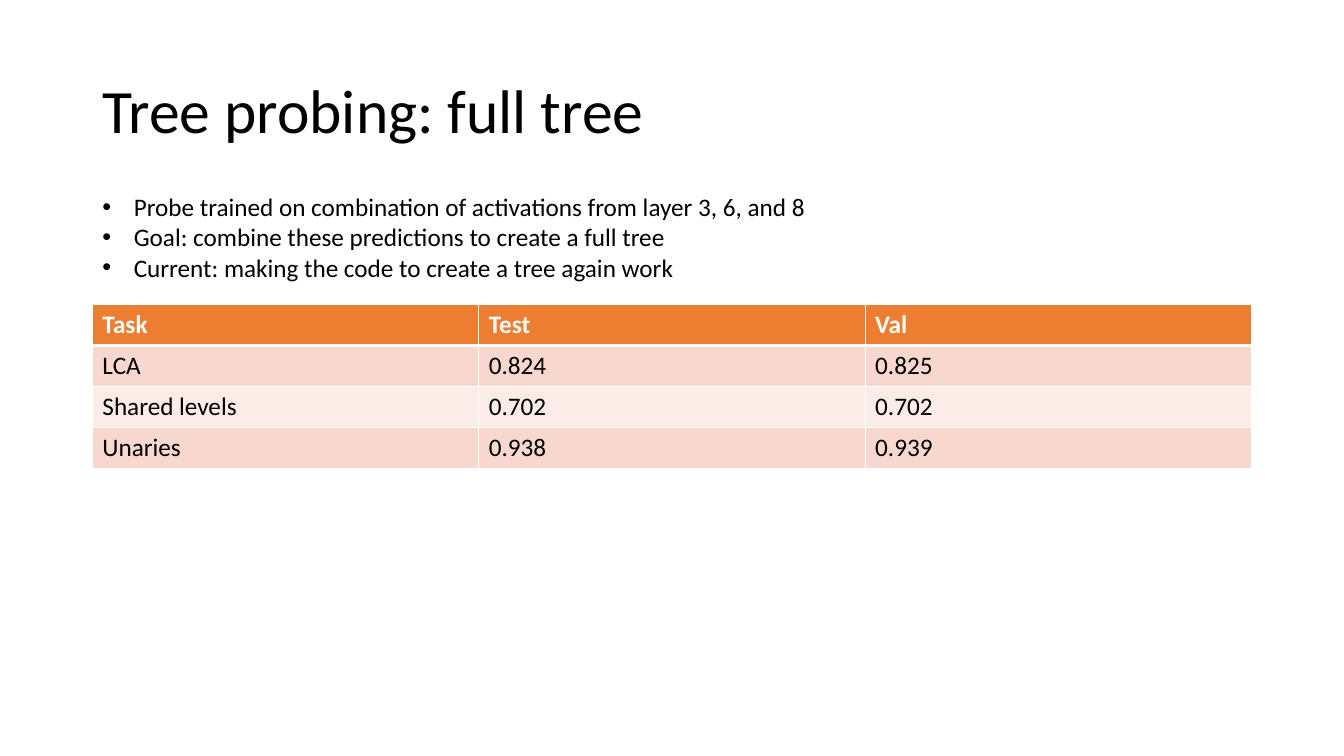
"""Build the tree probing slide with its bullets and results table."""
import pptx
import pptx.dml.color
import pptx.enum.text
import pptx.oxml
import pptx.oxml.ns
import pptx.util

Pt = pptx.util.Pt
RGBColor = pptx.dml.color.RGBColor
ANCHOR = pptx.enum.text.MSO_ANCHOR

TITLE = "Tree probing: full tree"
BULLETS = [
    "Probe trained on combination of activations from layer 3, 6, and 8",
    "Goal: combine these predictions to create a full tree",
    "Current: making the code to create a tree again work",
]
RESULTS = [
    ("Task", "Test", "Val"),
    ("LCA", "0.824", "0.825"),
    ("Shared levels", "0.702", "0.702"),
    ("Unaries", "0.938", "0.939"),
]

BLACK = RGBColor(0x00, 0x00, 0x00)
WHITE = RGBColor(0xFF, 0xFF, 0xFF)
ORANGE = RGBColor(0xED, 0x7D, 0x31)
BANDS = [RGBColor(0xFC, 0xEC, 0xE8), RGBColor(0xF8, 0xD7, 0xCE)]

LEFT, WIDTH = 66, 828
TITLE_TOP, TITLE_H = 28.75, 104.38
BULLETS_TOP, BULLETS_H = 133.13, 72.7
TABLE_TOP, ROW_H = 217.65, 29.2
INDENT = 22.5

TITLE_FONT = {"name": "Calibri", "size": Pt(44), "bold": False}
BODY_FONT = {"name": "Calibri", "size": Pt(18), "bold": False}
HEAD_FONT = {**BODY_FONT, "bold": True}


def add_run(p, text, font, color):
    r = p.add_run()
    r.text = text
    for name, value in font.items():
        setattr(r.font, name, value)
    r.font.color.rgb = color


def add_text(s, top, height, lines, font, anchor):
    sp = s.shapes.add_textbox(Pt(LEFT), Pt(top), Pt(WIDTH), Pt(height))
    tf = sp.text_frame
    tf.word_wrap = True
    tf.vertical_anchor = anchor
    for i, line in enumerate(lines):
        p = tf.paragraphs[0] if i == 0 else tf.add_paragraph()
        add_run(p, line, font, BLACK)
    return tf


def add_bullet(p):
    pPr = p._p.get_or_add_pPr()
    pPr.set("marL", str(Pt(INDENT)))
    pPr.set("indent", str(-Pt(INDENT)))
    ns = pptx.oxml.ns.nsdecls("a")
    for xml in (f'<a:buFont {ns} typeface="Arial"/>', f'<a:buChar {ns} char="•"/>'):
        pPr.append(pptx.oxml.parse_xml(xml))


def add_borders(cell, widths):
    tcPr = cell._tc.get_or_add_tcPr()
    ns = pptx.oxml.ns.nsdecls("a")
    for i, (side, width) in enumerate(widths.items()):
        tcPr.insert(i, pptx.oxml.parse_xml(
            f'<a:ln{side} {ns} w="{Pt(width)}"><a:solidFill>'
            f'<a:srgbClr val="{WHITE}"/></a:solidFill></a:ln{side}>'))


def add_results(s):
    rows, cols = len(RESULTS), len(RESULTS[0])
    table = s.shapes.add_table(rows, cols, Pt(LEFT), Pt(TABLE_TOP),
                               Pt(WIDTH), Pt(ROW_H * rows)).table
    for i, values in enumerate(RESULTS):
        head = i == 0
        for j, value in enumerate(values):
            cell = table.cell(i, j)
            cell.fill.solid()
            cell.fill.fore_color.rgb = ORANGE if head else BANDS[i % 2]
            add_run(cell.text_frame.paragraphs[0], value,
                    HEAD_FONT if head else BODY_FONT, WHITE if head else BLACK)
            add_borders(cell, {"L": 1, "R": 1, "T": 3 if i == 1 else 1,
                               "B": 3 if head else 1})


def main():
    prs = pptx.Presentation()
    prs.slide_width, prs.slide_height = Pt(960), Pt(540)
    s = prs.slides.add_slide(prs.slide_layouts[6])
    title = add_text(s, TITLE_TOP, TITLE_H, [TITLE], TITLE_FONT, ANCHOR.MIDDLE)
    title.paragraphs[0].line_spacing = 0.9
    add_results(s)
    bullets = add_text(s, BULLETS_TOP, BULLETS_H, BULLETS, BODY_FONT, ANCHOR.TOP)
    for p in bullets.paragraphs:
        add_bullet(p)
    prs.save("out.pptx")


if __name__ == "__main__":
    main()
